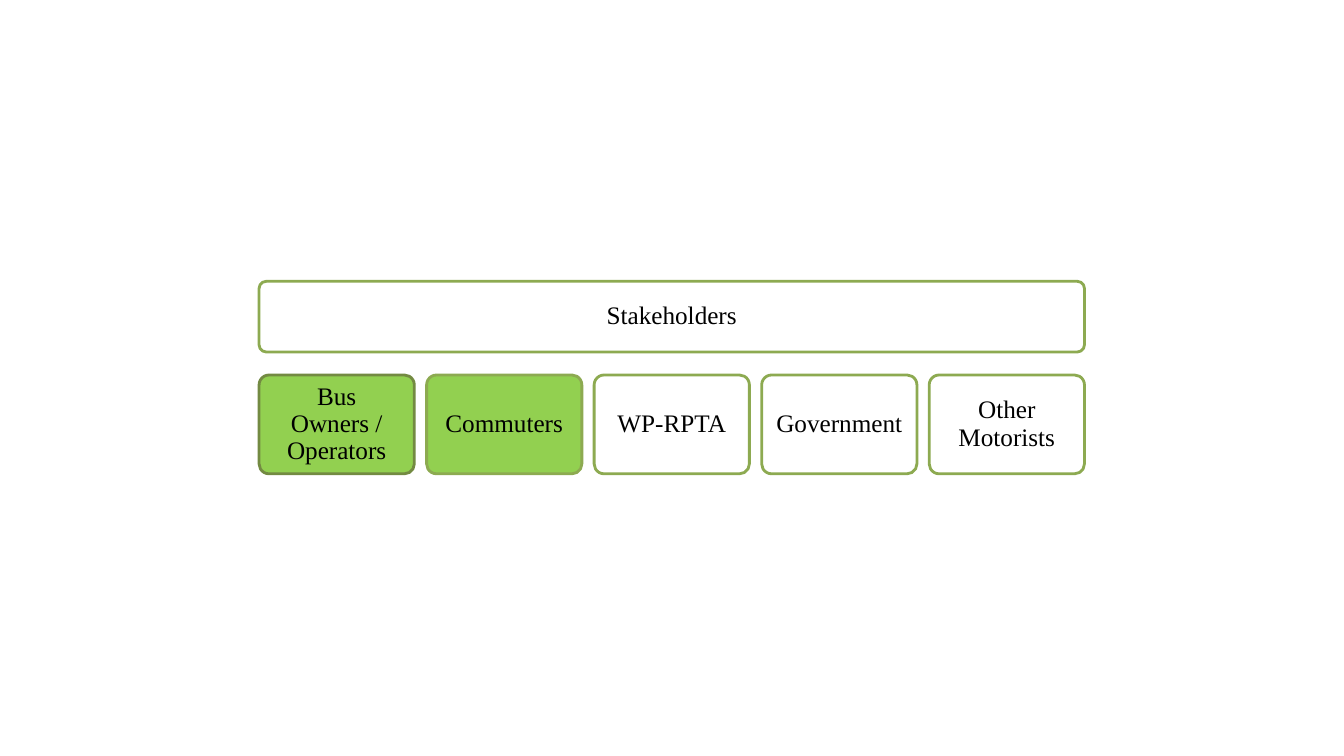
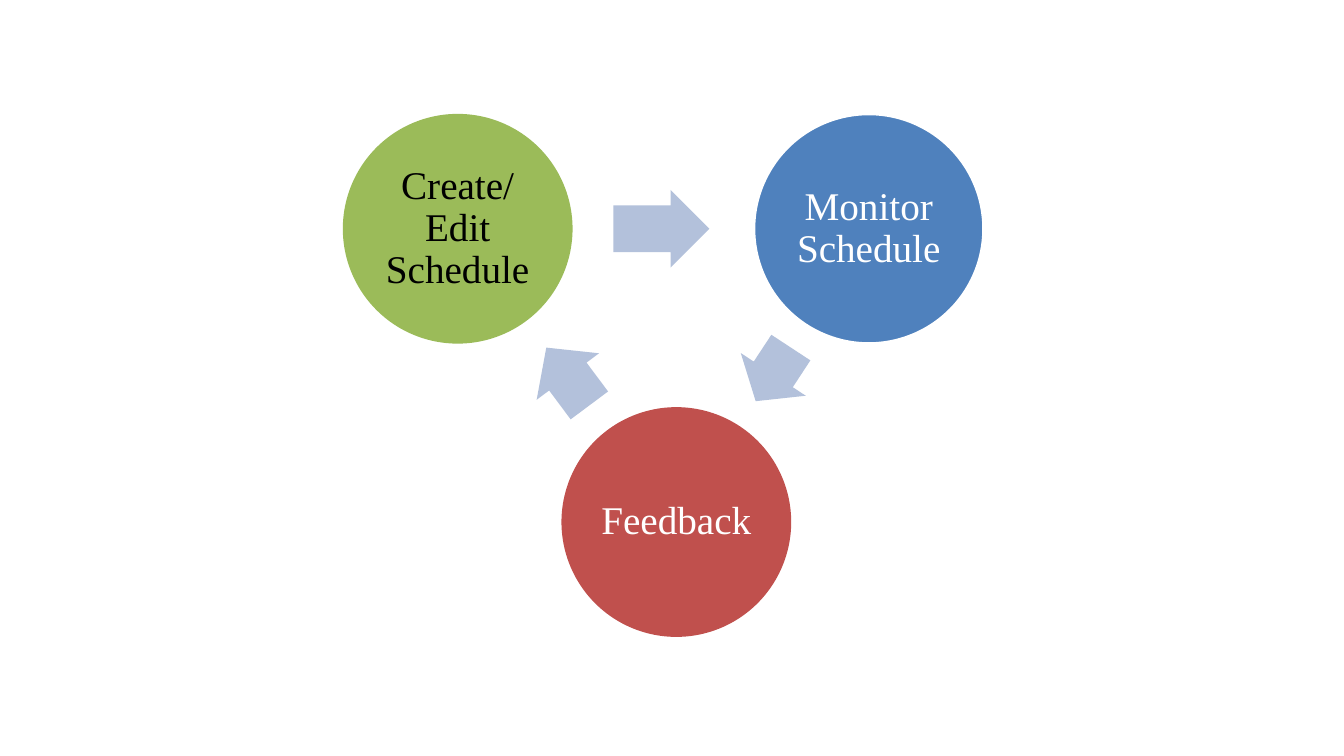
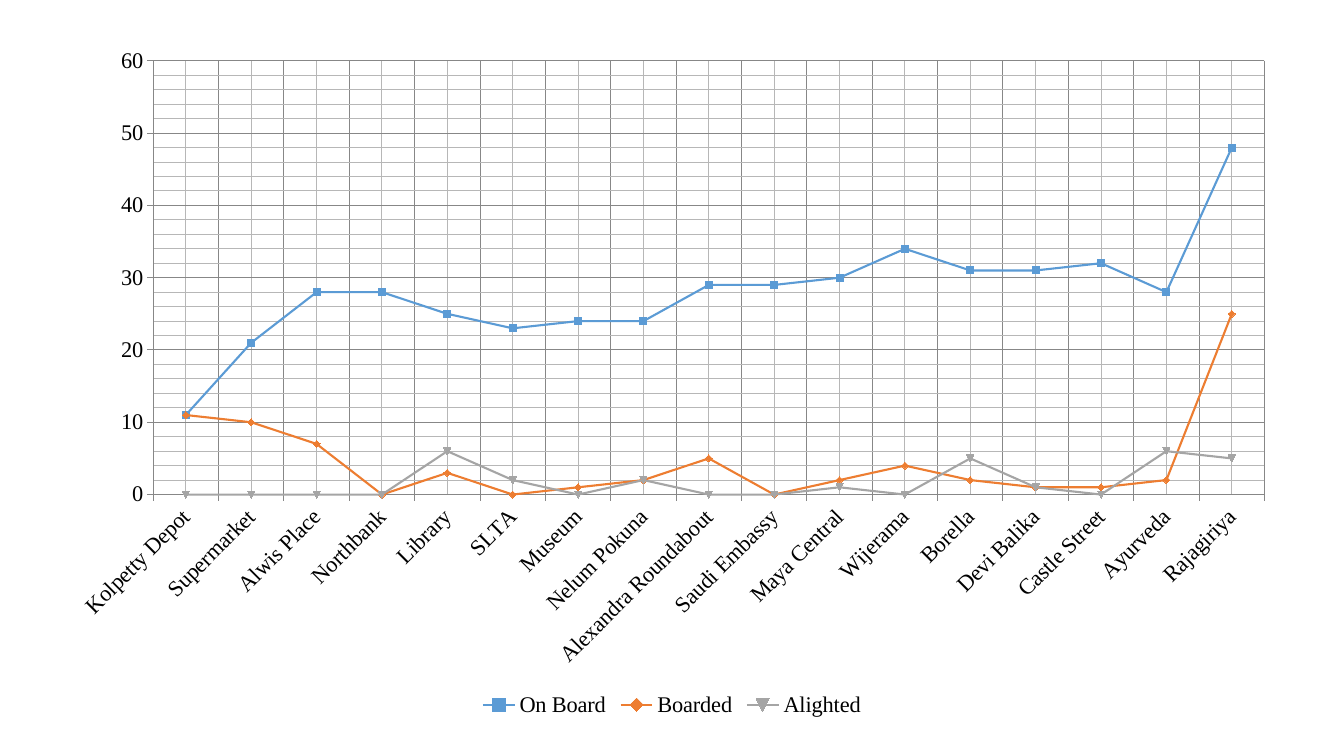
from math import atan2, cos, degrees, hypot, sin

from lxml import etree
from pptx import Presentation
from pptx.chart.data import CategoryChartData
from pptx.dml.color import RGBColor
from pptx.enum.chart import XL_CHART_TYPE, XL_LEGEND_POSITION, XL_TICK_MARK
from pptx.enum.shapes import MSO_SHAPE
from pptx.enum.text import MSO_ANCHOR, PP_ALIGN
from pptx.oxml.ns import qn
from pptx.util import Cm, Pt

ROUND, OVAL = MSO_SHAPE.ROUNDED_RECTANGLE, MSO_SHAPE.OVAL
ARROW = MSO_SHAPE.RIGHT_ARROW
CENTER, MIDDLE = PP_ALIGN.CENTER, MSO_ANCHOR.MIDDLE
LINES = XL_CHART_TYPE.LINE_MARKERS
BOTTOM = XL_LEGEND_POSITION.BOTTOM
OUTSIDE, NO_TICK = XL_TICK_MARK.OUTSIDE, XL_TICK_MARK.NONE

FONT = "Times New Roman"
BLACK = RGBColor(0x00, 0x00, 0x00)
WHITE = RGBColor(0xFF, 0xFF, 0xFF)
LIME = RGBColor(0x92, 0xD0, 0x50)
OLIVE = RGBColor(0x8D, 0xAA, 0x51)
MOSS = RGBColor(0x73, 0x8A, 0x42)
GREEN = RGBColor(0x9B, 0xBB, 0x59)
BLUE = RGBColor(0x4F, 0x81, 0xBD)
RED = RGBColor(0xC0, 0x50, 0x4D)
MIST = RGBColor(0xB3, 0xC1, 0xDB)
SKY = RGBColor(0x5B, 0x9B, 0xD5)
ORANGE = RGBColor(0xED, 0x7D, 0x31)
GRAY = RGBColor(0xA5, 0xA5, 0xA5)
MAJOR = RGBColor(0x87, 0x87, 0x87)
MINOR = RGBColor(0xB7, 0xB7, 0xB7)

GROUPS = [
    ("Bus Owners / Operators", LIME, MOSS),
    ("Commuters", LIME, OLIVE),
    ("WP-RPTA", WHITE, OLIVE),
    ("Government", WHITE, OLIVE),
    ("Other Motorists", WHITE, OLIVE),
]

# Label, fill, text colour, left and top within the cycle's box
STEPS = [
    ("Create/Edit Schedule", GREEN, BLACK, 0, 0),
    ("Monitor Schedule", BLUE, WHITE, 10.36, 0),
    ("Feedback", RED, WHITE, 5.51, 7.39),
]

STOPS = [
    "Kolpetty Depot", "Supermarket", "Alwis Place", "Northbank", "Library",
    "SLTA", "Museum", "Nelum Pokuna", "Alexandra Roundabout",
    "Saudi Embassy", "Maya Central", "Wijerama", "Borella", "Devi Balika",
    "Castle Street", "Ayurveda", "Rajagiriya",
]
COUNTS = [
    ("On Board", SKY, [11, 21, 28, 28, 25, 23, 24, 24, 29, 29, 30, 34, 31,
                       31, 32, 28, 48]),
    ("Boarded", ORANGE, [11, 10, 7, 0, 3, 0, 1, 2, 5, 0, 2, 4, 2, 1, 1, 2,
                         25]),
    ("Alighted", GRAY, [0, 0, 0, 0, 6, 2, 0, 2, 0, 0, 1, 0, 5, 1, 0, 6, 5]),
]


def write(shape, text, size=18, color=BLACK, inset=0.18):
    """Put centred text in a shape."""
    frame = shape.text_frame
    frame.word_wrap = True
    frame.vertical_anchor = MIDDLE
    frame.margin_left = frame.margin_right = Cm(inset)
    frame.margin_top = frame.margin_bottom = Cm(inset)
    para = frame.paragraphs[0]
    para.alignment = CENTER
    para.line_spacing = 0.9
    run = para.add_run()
    run.text = text
    run.font.name = FONT
    run.font.size = Pt(size)
    run.font.color.rgb = color


def draw(slide, kind, box, fill, line=None):
    """Add a flat shape; box is left, top, width, height in cm."""
    shape = slide.shapes.add_shape(kind, *map(Cm, box))
    shape.shadow.inherit = False
    shape.fill.solid()
    shape.fill.fore_color.rgb = fill
    if line is None:
        shape.line.fill.background()
    else:
        shape.line.color.rgb = line
        shape.line.width = Pt(2)
    return shape


def card(slide, box, text, fill, line):
    """Add a labelled box with rounded corners."""
    shape = draw(slide, ROUND, box, fill, line)
    shape.adjustments[0] = 0.1
    write(shape, text)


def tree(slide, box):
    """Draw a heading bar over one row of equal cards."""
    left, top, width, high = box
    head, row, gap = 1.78, 2.49, 0.31
    card(slide, (left, top, width, head), "Stakeholders", WHITE, OLIVE)
    wide = (width - gap * (len(GROUPS) - 1)) / len(GROUPS)
    for i, (text, fill, line) in enumerate(GROUPS):
        spot = (left + i * (wide + gap), top + high - row, wide, row)
        card(slide, spot, text, fill, line)


def link(slide, start, end, size):
    """Point an arrow across the gap between two circle centres."""
    dx, dy = end[0] - start[0], end[1] - start[1]
    turn, span = atan2(dy, dx), hypot(dx, dy)
    gap = span - size
    reach = size / 2 + 0.49 * gap
    x, y = start[0] + reach * cos(turn), start[1] + reach * sin(turn)
    long, tall = 0.53 * gap, 1.96
    arrow = draw(slide, ARROW, (x - long / 2, y - tall / 2, long, tall), MIST)
    arrow.adjustments[0] = 0.6
    arrow.adjustments[1] = 0.5
    arrow.rotation = degrees(turn) % 360


def cycle(slide, box):
    """Draw three circles joined in a ring by arrows."""
    left, top, size = box
    mids = []
    for text, fill, ink, x, y in STEPS:
        line = WHITE if fill == BLUE else None
        disc = draw(slide, OVAL, (left + x, top + y, size, size), fill, line)
        write(disc, text, size=28, color=ink, inset=0.1)
        mids.append((left + x + size / 2, top + y + size / 2))
    for start, end in zip(mids, mids[1:] + mids[:1]):
        link(slide, start, end, size)


def rule(form, color):
    """Set a thin line of the given colour."""
    form.line.color.rgb = color
    form.line.width = Pt(0.75)


def place(chart, **area):
    """Fix the inner plot area as fractions of the chart."""
    plot = chart.element.xpath(".//c:plotArea")[0]
    for old in plot.findall(qn("c:layout")):
        plot.remove(old)
    layout = etree.Element(qn("c:layout"))
    manual = etree.SubElement(layout, qn("c:manualLayout"))
    parts = {"layoutTarget": "inner", "xMode": "edge", "yMode": "edge"}
    for tag, val in {**parts, **area}.items():
        etree.SubElement(manual, qn("c:" + tag)).set("val", str(val))
    plot.insert(0, layout)


def graph(slide, box):
    """Add the line chart of passengers at each stop."""
    data = CategoryChartData()
    data.categories = STOPS
    for name, _, vals in COUNTS:
        data.add_series(name, vals)
    chart = slide.shapes.add_chart(LINES, *map(Cm, box), data).chart
    chart.has_title = False
    chart.font.name = FONT
    chart.font.size = Pt(16)
    chart.font.color.rgb = BLACK
    chart.has_legend = True
    chart.legend.position = BOTTOM
    chart.legend.include_in_layout = False

    plot = chart.plots[0]
    plot.vary_by_categories = False
    for line, (_, color, _) in zip(plot.series, COUNTS):
        line.smooth = False
        line.format.line.color.rgb = color
        line.format.line.width = Pt(1.5)
        line.marker.size = 5
        line.marker.format.fill.solid()
        line.marker.format.fill.fore_color.rgb = color
        line.marker.format.line.color.rgb = color

    for axis in (chart.category_axis, chart.value_axis):
        axis.has_major_gridlines = axis.has_minor_gridlines = True
        axis.major_tick_mark = OUTSIDE
        axis.minor_tick_mark = NO_TICK
        rule(axis.format, MAJOR)
        rule(axis.major_gridlines.format, MAJOR)
        rule(axis.minor_gridlines.format, MINOR) if hasattr(
            axis, "minor_gridlines") else tint(axis, MINOR)
        axis.tick_labels.font.size = Pt(16)
    scale = chart.value_axis
    scale.minimum_scale, scale.maximum_scale = 0, 60
    scale.major_unit, scale.minor_unit = 10, 2
    body = chart.element.xpath(".//c:catAx/c:txPr/a:bodyPr")[0]
    body.set("rot", "-2700000")
    place(chart, x=0.08, y=0.04, w=0.9, h=0.63)


def tint(axis, color):
    """Colour the minor gridlines of an axis."""
    grid = axis._element.find(qn("c:minorGridlines"))
    props = etree.SubElement(grid, qn("c:spPr"))
    line = etree.SubElement(props, qn("a:ln"), w=str(Pt(0.75)))
    fill = etree.SubElement(line, qn("a:solidFill"))
    etree.SubElement(fill, qn("a:srgbClr"), val=str(color))


def main():
    """Build the three slides and save them."""
    deck = Presentation()
    deck.slide_width, deck.slide_height = Cm(33.87), Cm(19.05)
    pages = [
        (tree, (6.53, 7.09, 20.8, 4.85)),
        (cycle, (8.64, 2.87, 5.79)),
        (graph, (1.37, 0.84, 31.12, 17.35)),
    ]
    for build, box in pages:
        build(deck.slides.add_slide(deck.slide_layouts[6]), box)
    deck.save("out.pptx")


main()
